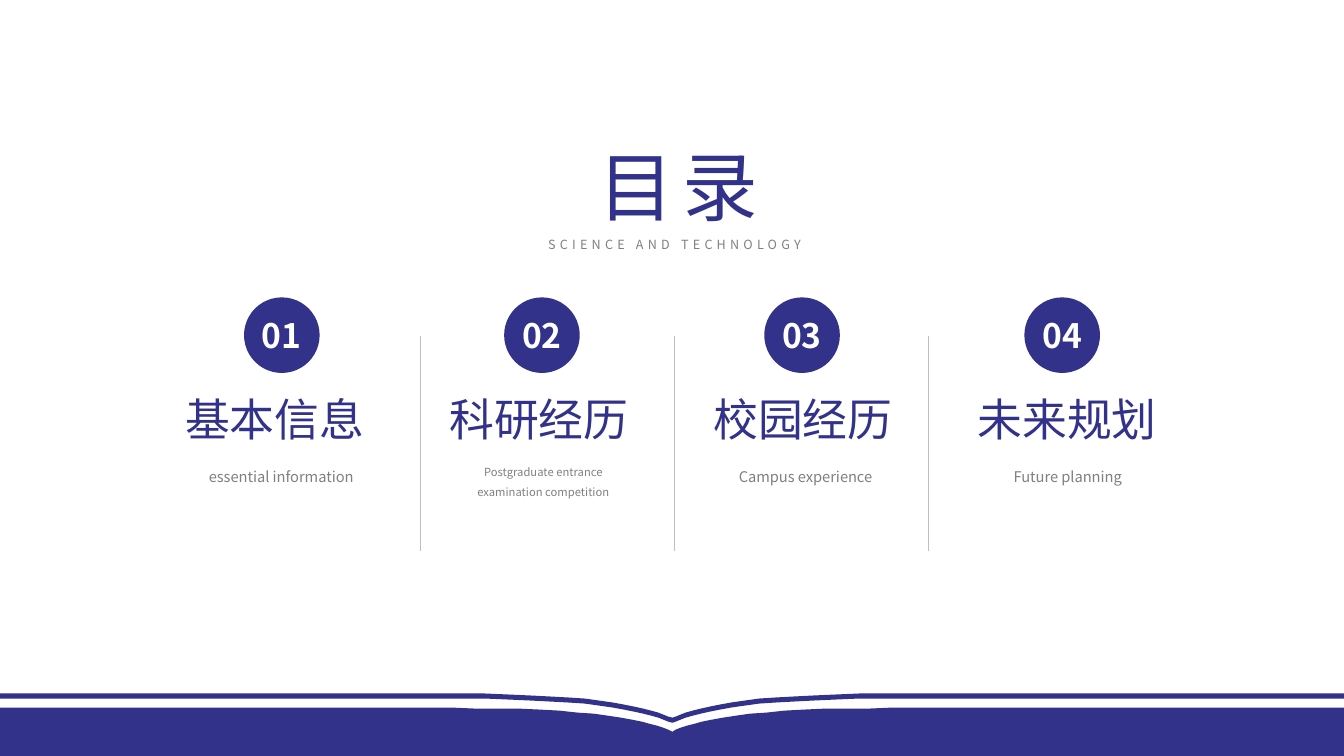
from dataclasses import dataclass
from lxml import etree
from pptx import Presentation
from pptx import util as u
from pptx.dml import color
from pptx.enum import shapes, text
from pptx.oxml import ns


@dataclass(frozen=True)
class Theme:
    font: str = "Noto Sans CJK SC"
    indigo: str = "32328A"
    white: str = "FFFFFF"
    grey: str = "808080"
    rule: str = "BFBFBF"
    title: float = 54
    subtitle: float = 9
    number: float = 24
    heading: float = 32
    caption: float = 10.5
    small_caption: float = 8


WIDTH, HEIGHT = 13.33, 7.5
COVER_EDGE = [
    (0, 6.88), (4.81, 6.88), (5.04, 6.89), (5.26, 6.9), (5.46, 6.91),
    (5.64, 6.92), (5.8, 6.93), (5.94, 6.95), (6.08, 6.97), (6.19, 6.99),
    (6.29, 7.01), (6.38, 7.03), (6.46, 7.05), (6.53, 7.07), (6.58, 7.09),
    (6.63, 7.11), (6.67, 7.12),
]
PAGE_EDGE = [
    (0, 7.02), (4.49, 7.02), (4.72, 7.03), (5.15, 7.03), (5.36, 7.04),
    (5.55, 7.05), (5.73, 7.07), (5.89, 7.08), (6.03, 7.1), (6.16, 7.12),
    (6.27, 7.14), (6.37, 7.16), (6.44, 7.18), (6.52, 7.2), (6.58, 7.22),
    (6.63, 7.24), (6.67, 7.26),
]
COVER_THICKNESS = 0.05
SECTIONS = [
    ("基本信息", "essential information", "caption", 0.27),
    ("科研经历", "Postgraduate entrance examination competition", "small_caption", 0.4),
    ("校园经历", "Campus experience", "caption", 0.27),
    ("未来规划", "Future planning", "caption", 0.27),
]


def mirrored(edge):
    return edge + [(WIDTH - x, y) for x, y in reversed(edge[:-1])]


class SlideBuilder:
    def __init__(self, slide, theme):
        self.slide = slide
        self.theme = theme

    def paint(self, shape, fill):
        shape.shadow.inherit = False
        shape.fill.solid()
        shape.fill.fore_color.rgb = color.RGBColor.from_string(fill)
        shape.line.fill.background()

    def typeset(self, frame, words, size, ink, bold=False, tracking=0, spacing=None, **layout):
        for name, value in layout.items():
            setattr(frame, name, value)
        line = frame.paragraphs[0]
        for name, value in {"alignment": text.PP_ALIGN.CENTER, "line_spacing": spacing}.items():
            setattr(line, name, value)
        run = line.add_run()
        run.text = words
        for name, value in {"name": self.theme.font, "size": u.Pt(size), "bold": bold}.items():
            setattr(run.font, name, value)
        run.font.color.rgb = color.RGBColor.from_string(ink)
        properties = run._r.get_or_add_rPr()
        etree.SubElement(properties, ns.qn("a:ea"), typeface=self.theme.font)
        if tracking:
            properties.set("spc", str(tracking * 100))

    def label(self, box, words, size, ink, **style):
        area = self.slide.shapes.add_textbox(*map(u.Inches, box))
        self.typeset(area.text_frame, words, size, ink, word_wrap=True,
                     auto_size=text.MSO_AUTO_SIZE.SHAPE_TO_FIT_TEXT, **style)

    def badge(self, left, top, diameter, words):
        disc = self.slide.shapes.add_shape(
            shapes.MSO_SHAPE.OVAL, *map(u.Inches, (left, top, diameter, diameter)))
        self.paint(disc, self.theme.indigo)
        self.typeset(disc.text_frame, words, self.theme.number, self.theme.white, bold=True,
                     word_wrap=False, vertical_anchor=text.MSO_ANCHOR.MIDDLE)

    def divider(self, x, top, bottom):
        rule = self.slide.shapes.add_connector(
            shapes.MSO_CONNECTOR.STRAIGHT, *map(u.Inches, (x, top, x, bottom)))
        rule.line.color.rgb = color.RGBColor.from_string(self.theme.rule)
        rule.line.width = u.Pt(0.5)
        etree.SubElement(rule._element.spPr, ns.qn("a:effectLst"))

    def band(self, points):
        start, *rest = [(u.Inches(x), u.Inches(y)) for x, y in points]
        outline = self.slide.shapes.build_freeform(*start)
        outline.add_line_segments(rest, close=True)
        self.paint(outline.convert_to_shape(), self.theme.indigo)


def main():
    deck = Presentation()
    deck.slide_width, deck.slide_height = u.Inches(WIDTH), u.Inches(HEIGHT)
    theme = Theme()
    contents = SlideBuilder(deck.slides.add_slide(deck.slide_layouts[6]), theme)

    cover = mirrored(COVER_EDGE)
    contents.band(cover + [(x, y + COVER_THICKNESS) for x, y in reversed(cover)])
    contents.band(mirrored(PAGE_EDGE) + [(WIDTH, HEIGHT), (0, HEIGHT)])
    contents.label((5.24, 2.3, 2.9, 0.25), "SCIENCE AND TECHNOLOGY",
                   theme.subtitle, theme.grey, tracking=3)
    contents.label((5.77, 1.34, 1.92, 1.01), "目录", theme.title, theme.indigo, tracking=6)

    no_margins = dict.fromkeys(("margin_left", "margin_top", "margin_right", "margin_bottom"), 0)
    for index, (heading, caption, caption_size, caption_height) in enumerate(SECTIONS):
        contents.badge(2.42 + 2.58 * index, 2.95, 0.75, f"{index + 1:02}")
        if index:
            contents.divider(4.17 + 2.52 * (index - 1), 3.33, 5.47)
        contents.label((1.57 + 2.62 * index, 3.84, 2.31, 0.64), heading,
                       theme.heading, theme.indigo)
        contents.label((1.97 + 2.6 * index, 4.55, 1.64, caption_height), caption,
                       getattr(theme, caption_size), theme.grey, spacing=1.5, **no_margins)

    deck.save("out.pptx")


if __name__ == "__main__":
    main()
